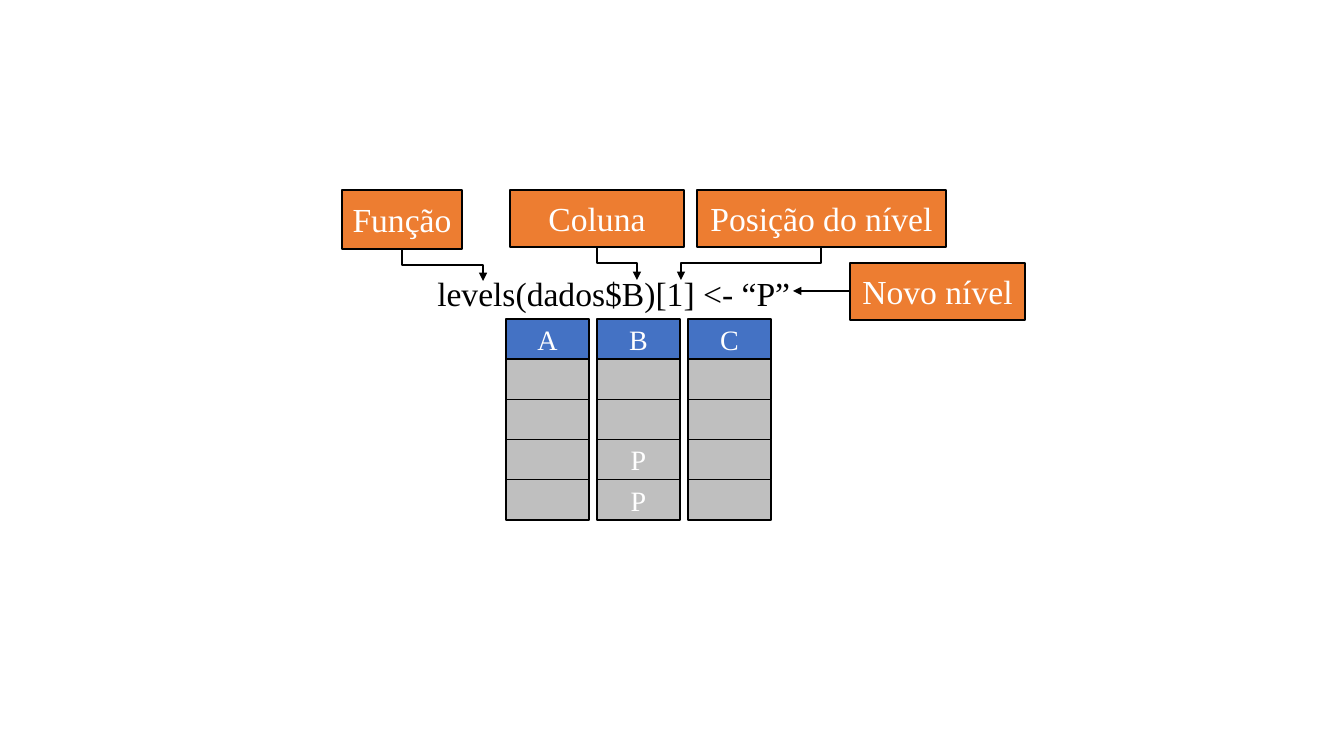
from dataclasses import dataclass

from lxml.etree import SubElement
from pptx import Presentation
from pptx.dml.color import RGBColor
from pptx.enum.shapes import MSO_CONNECTOR, MSO_SHAPE
from pptx.enum.text import MSO_ANCHOR, MSO_AUTO_SIZE, PP_ALIGN
from pptx.oxml.ns import qn
from pptx.shapes.connector import Connector
from pptx.text.text import TextFrame
from pptx.util import Emu, Pt

SLIDE_W, SLIDE_H = 1344, 756
EMU_PER_PX = 12192000 / SLIDE_W
FONT = "Times New Roman"

BLACK = RGBColor(0x00, 0x00, 0x00)
WHITE = RGBColor(0xFF, 0xFF, 0xFF)
ORANGE = RGBColor(0xED, 0x7D, 0x31)
BLUE = RGBColor(0x44, 0x72, 0xC4)
GRAY = RGBColor(0xBF, 0xBF, 0xBF)


@dataclass
class Label:
    text: str
    left: int
    top: int
    width: int
    height: int
    target: tuple[int, int]
    elbow: bool = True


LABELS = [
    Label("Coluna", 510, 190, 174, 57, (637, 280)),
    Label("Novo nível", 850, 263, 175, 57, (793, 291), elbow=False),
    Label("Função", 342, 190, 120, 59, (483, 281)),
    Label("Posição do nível", 697, 190, 249, 57, (681, 280)),
]

# Columns of the data frame, header first
COLUMNS = [
    ("A", "", "", "", ""),
    ("B", "", "", "P", "P"),
    ("C", "", "", "", ""),
]
GRID_LEFT, GRID_TOP, GRID_H = 506, 319, 201
CELL_W, COLUMN_STEP = 83, 91
CELL_H = GRID_H / len(COLUMNS[0])


def px(value: float) -> Emu:
    return Emu(round(value * EMU_PER_PX))


def write(tf: TextFrame, text: str, size: int, color: RGBColor) -> None:
    tf.text = text
    p = tf.paragraphs[0]
    p.alignment = PP_ALIGN.CENTER
    for r in p.runs:
        r.font.name = FONT
        r.font.size = Pt(size)
        r.font.color.rgb = color


def add_box(left: float, top: float, width: float, height: float, fill: RGBColor,
            line_pt: float, text: str, size: int) -> None:
    sp = s.shapes.add_shape(MSO_SHAPE.RECTANGLE, px(left), px(top), px(width), px(height))
    sp.shadow.inherit = False
    sp.fill.solid()
    sp.fill.fore_color.rgb = fill
    sp.line.color.rgb = BLACK
    sp.line.width = Pt(line_pt)
    if text:
        tf = sp.text_frame
        tf.margin_left = tf.margin_right = 0
        tf.vertical_anchor = MSO_ANCHOR.MIDDLE
        write(tf, text, size, WHITE)


def turn_downward(cxn: Connector, x1: int, y1: int, x2: int, y2: int) -> None:
    """Rotate an elbow so that it leaves and arrives vertically."""
    run, drop = abs(x2 - x1), y2 - y1
    cxn.left, cxn.top = px((x1 + x2 - drop) / 2), px((y1 + y2 - run) / 2)
    cxn.width, cxn.height = px(drop), px(run)
    xfrm = cxn._element.spPr.find(qn("a:xfrm"))
    for flip in ("flipH", "flipV"):
        xfrm.attrib.pop(flip, None)
    if x2 > x1:
        xfrm.set("rot", "16200000")
        xfrm.set("flipH", "1")
    else:
        xfrm.set("rot", "5400000")


def add_arrow(label: Label) -> None:
    x2, y2 = label.target
    if label.elbow:
        kind = MSO_CONNECTOR.ELBOW
        x1, y1 = label.left + label.width // 2, label.top + label.height
    else:
        kind = MSO_CONNECTOR.STRAIGHT
        x1, y1 = label.left, y2
    cxn = s.shapes.add_connector(kind, px(x1), px(y1), px(x2), px(y2))
    if label.elbow:
        turn_downward(cxn, x1, y1, x2, y2)
    cxn.line.color.rgb = BLACK
    cxn.line.width = Pt(1.5)
    SubElement(cxn.line._get_or_add_ln(), qn("a:tailEnd"), type="triangle")
    SubElement(cxn._element.spPr, qn("a:effectLst"))


prs = Presentation()
prs.slide_width, prs.slide_height = px(SLIDE_W), px(SLIDE_H)
s = prs.slides.add_slide(prs.slide_layouts[6])

# Data frame cells
for col, cells in enumerate(COLUMNS):
    for row, text in enumerate(cells):
        add_box(GRID_LEFT + col * COLUMN_STEP, GRID_TOP + row * CELL_H, CELL_W, CELL_H,
                GRAY if row else BLUE, 1, text, 20)

# Code line
code = s.shapes.add_textbox(px(426), px(268), px(384), px(50))
code.text_frame.word_wrap = True
code.text_frame.auto_size = MSO_AUTO_SIZE.SHAPE_TO_FIT_TEXT
write(code.text_frame, "levels(dados$B)[1] <- “P” ", 24, BLACK)

# Labels and their arrows
for label in LABELS:
    add_box(label.left, label.top, label.width, label.height, ORANGE, 1.5, label.text, 24)
    add_arrow(label)

prs.save("out.pptx")
